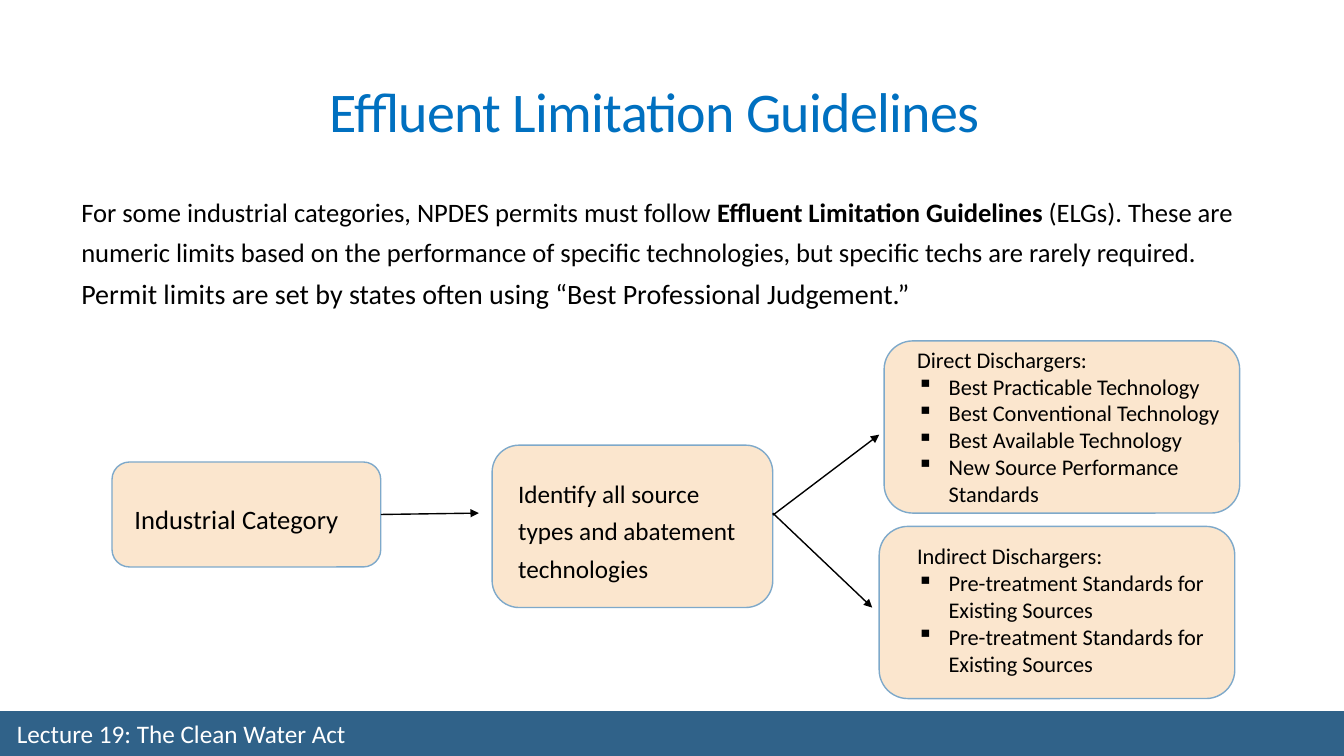
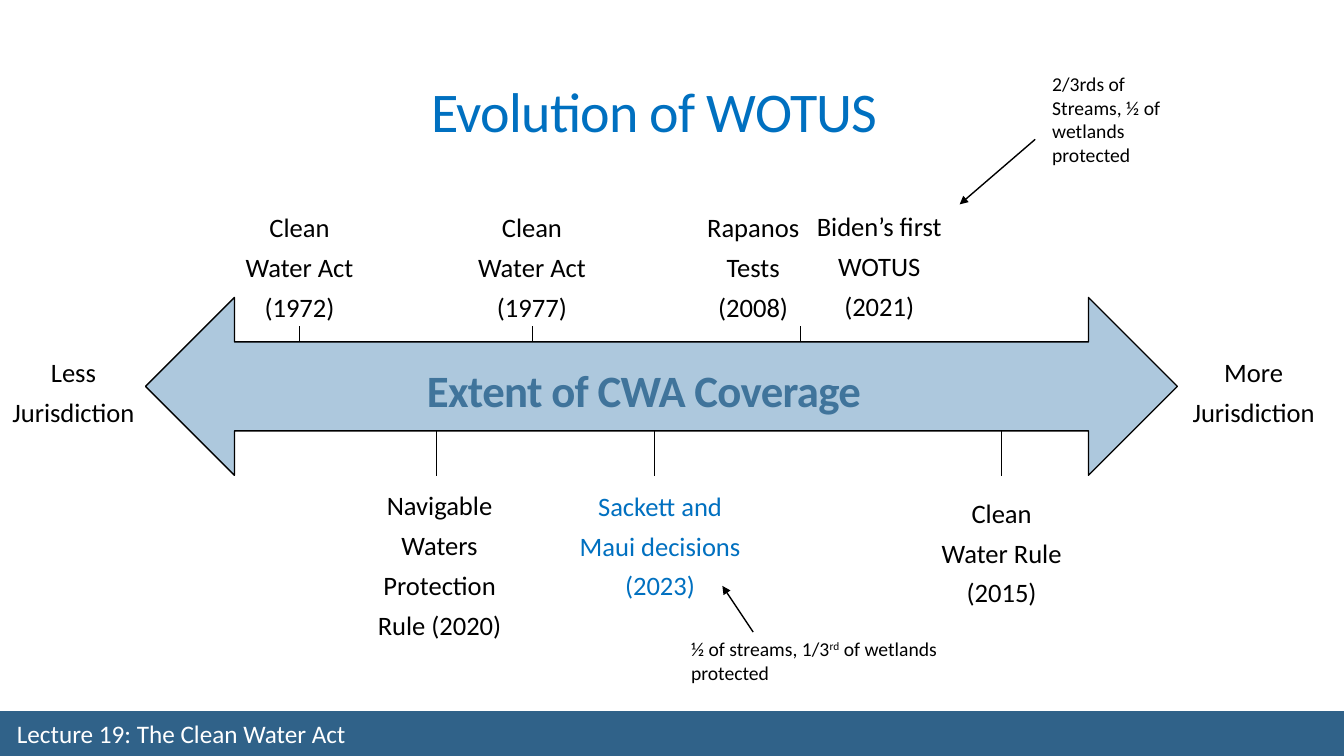
from lxml import etree
from pptx import Presentation
from pptx.dml.color import RGBColor
from pptx.enum.shapes import MSO_CONNECTOR, MSO_SHAPE
from pptx.enum.text import MSO_ANCHOR, PP_ALIGN
from pptx.oxml.ns import qn
from pptx.util import Pt

LEFT, CENTER = PP_ALIGN.LEFT, PP_ALIGN.CENTER
TOP, MIDDLE, BOTTOM = MSO_ANCHOR.TOP, MSO_ANCHOR.MIDDLE, MSO_ANCHOR.BOTTOM
RECT, ROUNDED = MSO_SHAPE.RECTANGLE, MSO_SHAPE.ROUNDED_RECTANGLE
DOUBLE_ARROW = MSO_SHAPE.LEFT_RIGHT_ARROW
STRAIGHT = MSO_CONNECTOR.STRAIGHT
RIGHT_SIDE = 3


class Theme:
    width, height = 960, 540
    font = "Calibri"
    black, white = "000000", "FFFFFF"
    title, band = "0070C0", "306289"
    box, box_line = "FBE6CE", "7EA9CA"
    arrow, arrow_text = "ADC8DD", "40749B"
    title_size, banner_size, lead_size, body_size = 40, 32, 20, 19
    step_size, list_size, note_size = 18, 16, 14
    loose, tight = 1.25, 0.85
    bullet, indent = "▪", 22.5


# Content: boxes are (left, top, width, height) in points
FOOTER = "Lecture 19: The Clean Water Act"

ELG_TITLE = "Effluent Limitation Guidelines"
ELG_INTRO = [[
    ("For some industrial categories, NPDES permits must follow ", {}),
    ("Effluent Limitation Guidelines ", {"bold": True}),
    ("(ELGs). These are numeric limits based on the performance of specific "
     "technologies, but specific techs are rarely required. ", {}),
    ("Permit limits are set by states often using “Best Professional Judgement.”",
     {"size": Theme.lead_size}),
]]
ELG_BOXES = {
    "category": (80, 330, 192, 75),
    "sources": (351.5, 318, 200.5, 116),
    "direct": (631.5, 243.5, 254, 123),
    "indirect": (628, 376, 254, 123),
}
ELG_STEPS = [
    ((89, 350, 163, 34), "Industrial Category", Theme.body_size),
    ((363, 332.5, 171, 87), "Identify all source types and abatement technologies",
     Theme.step_size),
]
ELG_LISTS = [
    ((648, 243.5, 254, 124), [
        "Direct Dischargers:", "Best Practicable Technology",
        "Best Conventional Technology", "Best Available Technology",
        "New Source Performance Standards"]),
    ((648, 384, 241, 115), [
        "Indirect Dischargers:", "Pre-treatment Standards for Existing Sources",
        "Pre-treatment Standards for Existing Sources"]),
]
ELG_BRANCHES = [((552, 368), (628, 310.5)), ((552, 366.5), (623, 434))]

WOTUS_TITLE = "Evolution of WOTUS"
WOTUS_BANNER = "Extent of CWA Coverage"
# Labels: (centre, top, width, paragraphs, colour)
WOTUS_LABELS = [
    (52.5, 245, 102, ["Less", "Jurisdiction"], Theme.black),
    (895.5, 245, 102, ["More", "Jurisdiction"], Theme.black),
    (214, 141.5, 102, ["Clean Water Act (1972)"], Theme.black),
    (380, 141.5, 102, ["Clean Water Act (1977)"], Theme.black),
    (538, 141.5, 102, ["Rapanos Tests (2008)"], Theme.black),
    (628, 141, 126, ["Biden’s first WOTUS (2021)"], Theme.black),
    (314, 340, 132.5, ["Navigable Waters Protection Rule (2020)"], Theme.black),
    (471.5, 340.5, 132.5, ["Sackett and Maui decisions (2023)"], Theme.title),
    (715.5, 345.5, 102, ["Clean Water Rule (2015)"], Theme.black),
]
# Ticks: (top, bottom, centres)
WOTUS_TICKS = [(233, 244.5, (214, 380, 571.5)), (308, 340, (312, 467.5, 715.5))]
WOTUS_NOTES = [
    ((744.5, 48, 104, 75), ["2/3rds of Streams, ½ of wetlands protected"]),
    ((486.5, 451.5, 193, 41), [[
        ("½ of streams, 1/3", {}), ("rd", {"raised": True}),
        (" of wetlands protected", {})]]),
]
WOTUS_POINTERS = [((739.5, 99.5), (685.5, 146)), ((538, 451.5), (516, 418.5))]


# Helpers
def rgb(value):
    return RGBColor.from_string(value)


def points(values):
    return [Pt(v) for v in values]


def add_bullet(p):
    pPr = p._p.get_or_add_pPr()
    pPr.set("marL", str(Pt(Theme.indent)))
    pPr.set("indent", str(-Pt(Theme.indent)))
    etree.SubElement(pPr, qn("a:buChar"), char=Theme.bullet)


def add_run(p, text, size, color, bold=False, raised=False, spacing=0):
    r = p.add_run()
    r.text = text
    font = r.font
    font.name, font.size, font.bold = Theme.font, Pt(size), bold
    font.color.rgb = rgb(color)
    rPr = r._r.get_or_add_rPr()
    if raised:
        rPr.set("baseline", "30000")
    if spacing:
        rPr.set("spc", str(int(spacing * 100)))


def add_text(slide, box, paragraphs, size=Theme.body_size, color=Theme.black,
             align=LEFT, anchor=TOP, line_spacing=1.0, bulleted=False, **run_format):
    """Paragraphs are strings or lists of (text, format); the first is never bulleted."""
    tf = slide.shapes.add_textbox(*points(box)).text_frame
    tf.word_wrap, tf.vertical_anchor = True, anchor
    for i, content in enumerate(paragraphs):
        p = tf.paragraphs[0] if i == 0 else tf.add_paragraph()
        p.alignment, p.line_spacing = align, line_spacing
        if bulleted and i:
            add_bullet(p)
        runs = [(content, {})] if isinstance(content, str) else content
        for text, changes in runs:
            add_run(p, text, **{"size": size, "color": color, **run_format, **changes})


def add_block(slide, kind, box, fill, line=None):
    sp = slide.shapes.add_shape(kind, *points(box))
    sp.shadow.inherit = False
    sp.fill.solid()
    sp.fill.fore_color.rgb = rgb(fill)
    if line:
        sp.line.color.rgb, sp.line.width = rgb(line), Pt(1)
    else:
        sp.line.fill.background()
    return sp


def add_line(slide, start, end, width=1.0, arrow=True):
    line = slide.shapes.add_connector(STRAIGHT, *points(start + end))
    line.line.color.rgb, line.line.width = rgb(Theme.black), Pt(width)
    if arrow:
        etree.SubElement(line.line._get_or_add_ln(), qn("a:tailEnd"), type="triangle")
    etree.SubElement(line._element.spPr, qn("a:effectLst"))
    return line


def add_heading(slide, box, text, size, color, bold=False):
    add_text(slide, box, [text], size=size, color=color, bold=bold, align=CENTER,
             anchor=BOTTOM, line_spacing=Theme.tight, spacing=-0.5)


def new_slide(prs, title):
    slide = prs.slides.add_slide(prs.slide_layouts[6])
    add_block(slide, RECT, (0, 508, Theme.width, 32), Theme.band)
    add_text(slide, (5, 512.5, 475, 23), [FOOTER], size=Theme.step_size,
             color=Theme.white, anchor=MIDDLE)
    add_heading(slide, (183, 12, 569, 94.5), title, Theme.title_size, Theme.title)
    return slide


# Slides
def build_guidelines(prs):
    slide = new_slide(prs, ELG_TITLE)
    add_text(slide, (51, 131, 851, 122), ELG_INTRO, line_spacing=Theme.loose)
    boxes = {name: add_block(slide, ROUNDED, box, Theme.box, Theme.box_line)
             for name, box in ELG_BOXES.items()}
    for box, text, size in ELG_STEPS:
        add_text(slide, box, [text], size=size, line_spacing=Theme.loose)
    for box, items in ELG_LISTS:
        add_text(slide, box, items, size=Theme.list_size, bulleted=True)
    link = add_line(slide, (272, 367.5), (342, 366.5))
    link.begin_connect(boxes["category"], RIGHT_SIDE)
    for start, end in ELG_BRANCHES:
        add_line(slide, start, end)


def build_evolution(prs):
    slide = new_slide(prs, WOTUS_TITLE)
    add_block(slide, DOUBLE_ARROW, (104, 212.5, 737, 127), Theme.arrow, Theme.black)
    add_heading(slide, (64, 187, 792, 114.5), WOTUS_BANNER, Theme.banner_size,
                Theme.arrow_text, bold=True)
    for centre, top, width, paragraphs, color in WOTUS_LABELS:
        add_text(slide, (centre - width / 2, top, width, 91), paragraphs, color=color,
                 align=CENTER, line_spacing=Theme.loose)
    for top, bottom, centres in WOTUS_TICKS:
        for x in centres:
            add_line(slide, (x, top), (x, bottom), width=0.5, arrow=False)
    for box, paragraphs in WOTUS_NOTES:
        add_text(slide, box, paragraphs, size=Theme.note_size)
    for start, end in WOTUS_POINTERS:
        add_line(slide, start, end)


def main():
    prs = Presentation()
    prs.slide_width, prs.slide_height = Pt(Theme.width), Pt(Theme.height)
    build_guidelines(prs)
    build_evolution(prs)
    prs.save("out.pptx")


if __name__ == "__main__":
    main()
